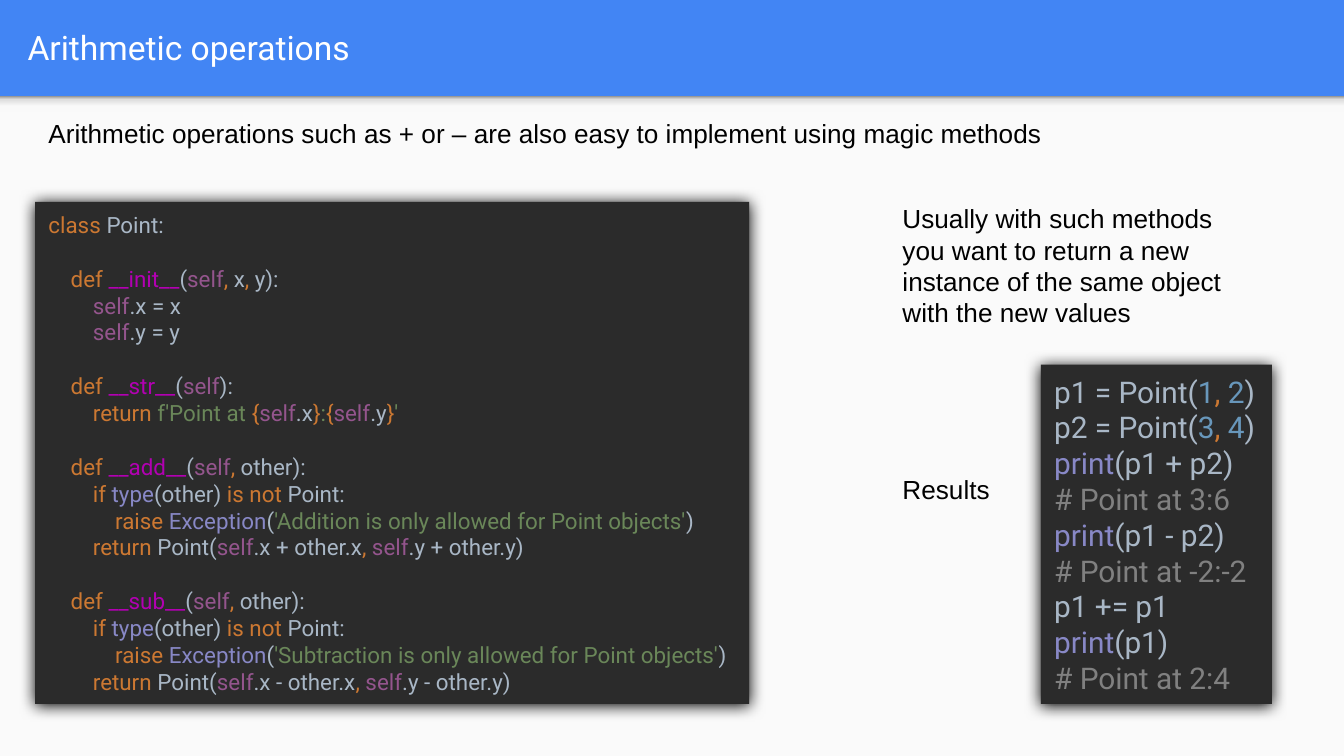
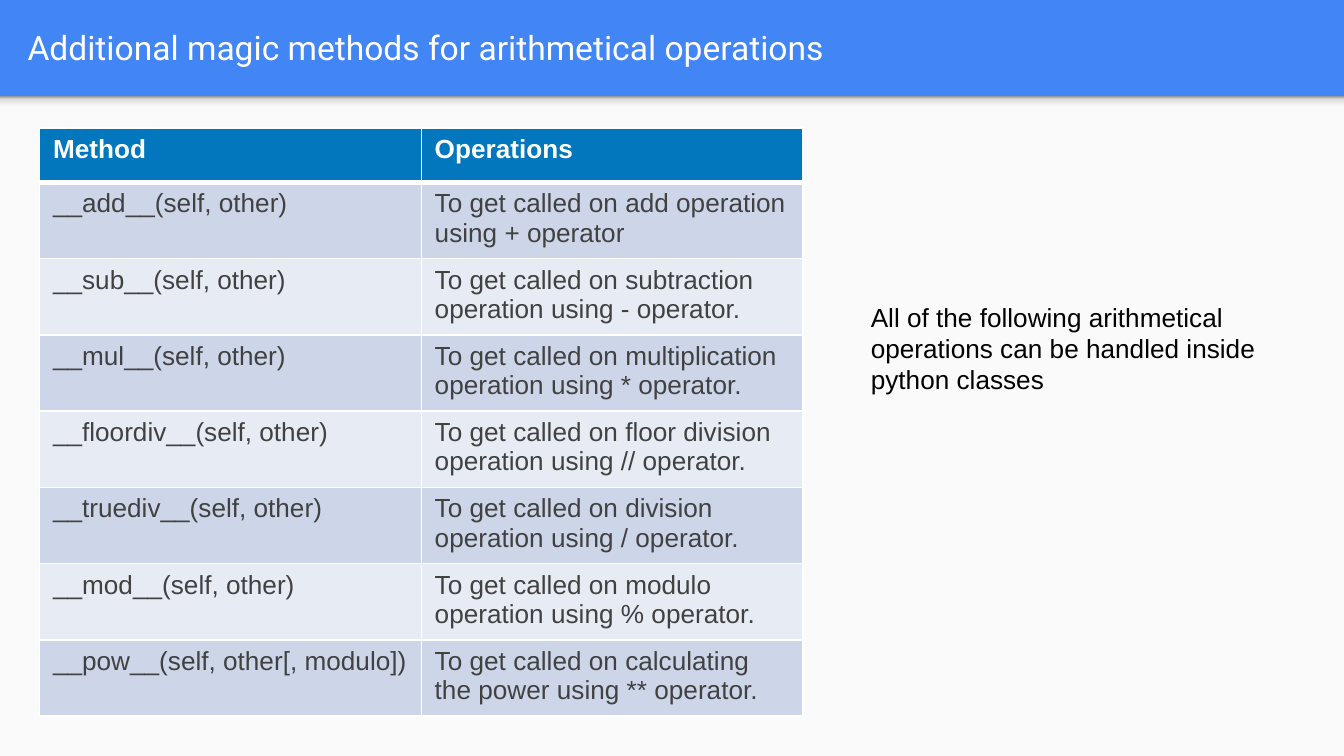
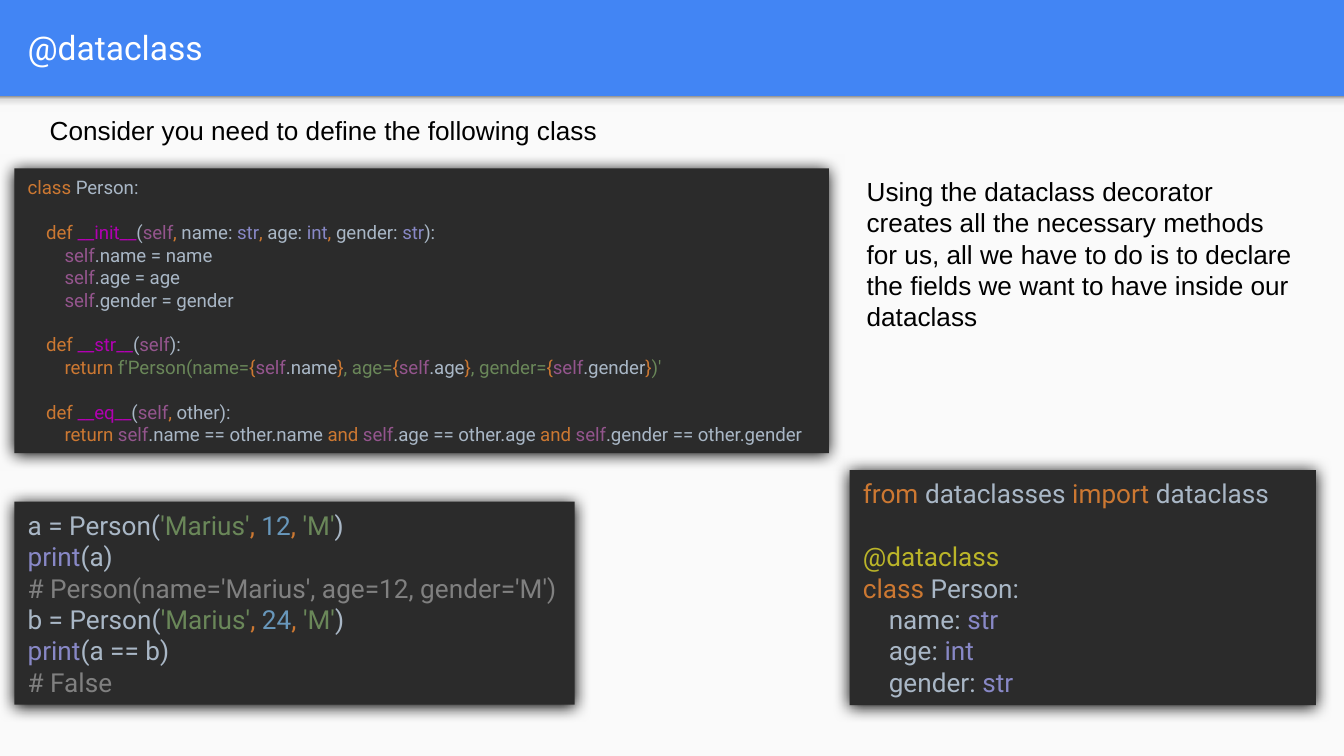
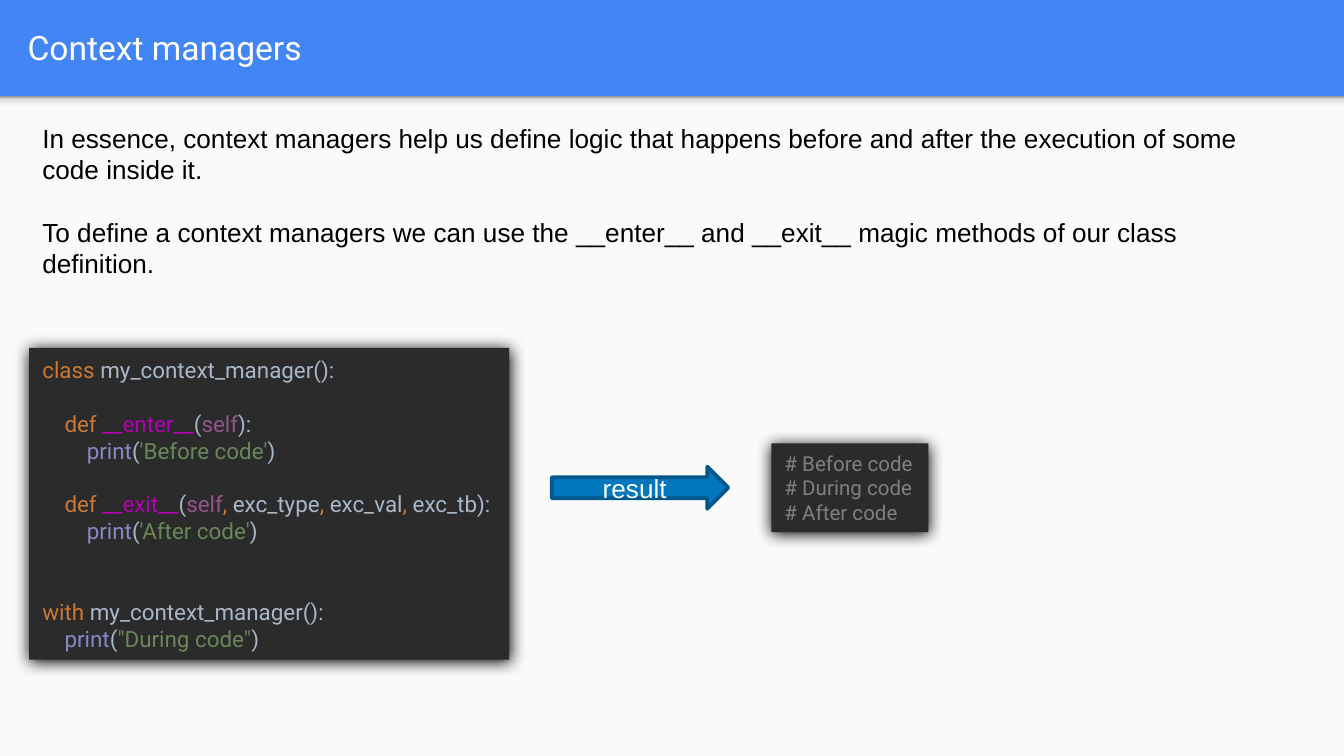
from collections.abc import Iterator
from dataclasses import dataclass
from typing import NamedTuple

from lxml.etree import SubElement
from pptx import Presentation
from pptx.dml.color import RGBColor
from pptx.enum.shapes import MSO_SHAPE
from pptx.enum.text import MSO_ANCHOR, MSO_AUTO_SIZE, PP_ALIGN
from pptx.oxml.ns import qn
from pptx.util import Pt


@dataclass(frozen=True)
class Theme:
    body_font: str = "Arial"
    code_font: str = "Roboto"
    title_size: float = 18
    body_size: float = 14
    band: str = "4285F4"
    paper: str = "FAFAFA"
    white: str = "FFFFFF"
    black: str = "000000"
    accent: str = "0277BD"
    accent_edge: str = "01588C"
    cell_text: str = "414141"
    cell_fills: tuple = ("CCD6E8", "E7ECF4")
    band_shadow: tuple = ((0, "F9F9F9"), (36, "F9F9F9"), (80, "DEDEDE"), (100, "999999"))
    editor: str = "2B2B2B"
    plain: str = "A9B7C6"
    keyword: str = "CC7832"
    builtin: str = "8888C6"
    dunder: str = "B200B2"
    self_name: str = "94558D"
    string: str = "6A8759"
    number: str = "6897BB"
    comment: str = "808080"
    decorator: str = "BBB529"


THEME = Theme()
KEYWORDS = {"class", "def", "return", "if", "is", "not", "raise", "and", "from", "import", "with"}
BUILTINS = {"type", "Exception", "print", "str", "int"}


class Place(NamedTuple):
    """Left, top, width and height in points."""
    left: float
    top: float
    width: float
    height: float

    def lengths(self) -> list:
        return [Pt(value) for value in self]


class Note(NamedTuple):
    place: Place
    paragraphs: list[str]


class CodePanel(NamedTuple):
    place: Place
    size: float
    code: str
    wrap: bool = False


class Token(NamedTuple):
    text: str
    color: str


PAGE = Place(0, 0, 720, 405)
BAND_HEIGHT = 51.6

POINT_CLASS = """class Point:

    def __init__(self, x, y):
        self.x = x
        self.y = y

    def __str__(self):
        return f'Point at {self.x}:{self.y}'

    def __add__(self, other):
        if type(other) is not Point:
            raise Exception('Addition is only allowed for Point objects')
        return Point(self.x + other.x, self.y + other.y)

    def __sub__(self, other):
        if type(other) is not Point:
            raise Exception('Subtraction is only allowed for Point objects')
        return Point(self.x - other.x, self.y - other.y)"""

POINT_RESULTS = """p1 = Point(1, 2)
p2 = Point(3, 4)
print(p1 + p2)
# Point at 3:6
print(p1 - p2)
# Point at -2:-2
p1 += p1
print(p1)
# Point at 2:4"""

PERSON_CLASS = """class Person:

    def __init__(self, name: str, age: int, gender: str):
        self.name = name
        self.age = age
        self.gender = gender

    def __str__(self):
        return f'Person(name={self.name}, age={self.age}, gender={self.gender})'

    def __eq__(self, other):
        return self.name == other.name and self.age == other.age and self.gender == other.gender"""

PERSON_USAGE = """a = Person('Marius', 12, 'M')
print(a)
# Person(name='Marius', age=12, gender='M')
b = Person('Marius', 24, 'M')
print(a == b)
# False"""

PERSON_DATACLASS = """from dataclasses import dataclass

@dataclass
class Person:
    name: str
    age: int
    gender: str"""

CONTEXT_MANAGER = """class my_context_manager():

    def __enter__(self):
        print('Before code')

    def __exit__(self, exc_type, exc_val, exc_tb):
        print('After code')


with my_context_manager():
    print("During code")"""

CONTEXT_OUTPUT = """# Before code
# During code
# After code"""

METHOD_ROWS = [
    ("Method", "Operations"),
    ("__add__(self, other)", "To get called on add operation using + operator"),
    ("__sub__(self, other)", "To get called on subtraction operation using - operator."),
    ("__mul__(self, other)", "To get called on multiplication operation using * operator."),
    ("__floordiv__(self, other)", "To get called on floor division operation using // operator."),
    ("__truediv__(self, other)", "To get called on division operation using / operator."),
    ("__mod__(self, other)", "To get called on modulo operation using % operator."),
    ("__pow__(self, other[, modulo])", "To get called on calculating the power using ** operator."),
]


def word_color(word: str) -> str:
    if word in KEYWORDS:
        return THEME.keyword
    if word in BUILTINS:
        return THEME.builtin
    if word == "self":
        return THEME.self_name
    if word.startswith("__") and word.endswith("__"):
        return THEME.dunder
    if word.startswith("@"):
        return THEME.decorator
    return THEME.number if word.isdigit() else THEME.plain


def string_tokens(literal: str) -> Iterator[Token]:
    """Colour a literal, treating the braces of an f-string as code."""
    if not literal.startswith("f"):
        yield Token(literal, THEME.string)
        return
    head, *fields = literal.split("{")
    yield Token(head, THEME.string)
    for field in fields:
        expression, rest = field.split("}")
        yield Token("{", THEME.keyword)
        yield from code_tokens(expression)
        yield Token("}", THEME.keyword)
        yield Token(rest, THEME.string)


def code_tokens(line: str) -> Iterator[Token]:
    start = 0
    while start < len(line):
        end = start + 1
        quote = start + 1 if line[start:start + 2] in ("f'", 'f"') else start
        if line[start] == "#":
            end = len(line)
            yield Token(line[start:], THEME.comment)
        elif line[quote] in "'\"":
            end = line.index(line[quote], quote + 1) + 1
            yield from string_tokens(line[start:end])
        elif line[start].isalnum() or line[start] in "_@":
            while end < len(line) and (line[end].isalnum() or line[end] == "_"):
                end += 1
            yield Token(line[start:end], word_color(line[start:end]))
        else:
            yield Token(line[start], THEME.keyword if line[start] == "," else THEME.plain)
        start = end


def merged_tokens(line: str) -> list[Token]:
    """Join neighbours of one colour; a space follows the token before it."""
    merged: list[Token] = []
    for token in code_tokens(line):
        if merged and (token.color == merged[-1].color or token.text.isspace()):
            merged[-1] = Token(merged[-1].text + token.text, merged[-1].color)
        else:
            merged.append(token)
    return merged


def add_span(para, text: str, *, size: float = THEME.body_size, font: str = THEME.body_font,
             color: str = THEME.black, bold: bool = False) -> None:
    span = para.add_run()
    span.text = text
    span.font.size = Pt(size)
    span.font.name = font
    span.font.bold = bold
    span.font.color.rgb = RGBColor.from_string(color)


def add_code_break(para, size: float) -> None:
    """Add a line break that keeps the height of the code font."""
    para.add_line_break()
    properties = SubElement(para._p[-1], qn("a:rPr"), sz=str(int(size * 100)))
    SubElement(properties, qn("a:latin"), typeface=THEME.code_font)


def add_block(page, place: Place, fill: str, kind: MSO_SHAPE = MSO_SHAPE.RECTANGLE):
    block = page.shapes.add_shape(kind, *place.lengths())
    block.shadow.inherit = False
    block.fill.solid()
    block.fill.fore_color.rgb = RGBColor.from_string(fill)
    block.line.fill.background()
    return block


def add_note(page, note: Note) -> None:
    box = page.shapes.add_textbox(*note.place.lengths())
    frame = box.text_frame
    frame.word_wrap = True
    frame.auto_size = MSO_AUTO_SIZE.SHAPE_TO_FIT_TEXT
    for index, text in enumerate(note.paragraphs):
        para = frame.add_paragraph() if index else frame.paragraphs[0]
        if index:
            para.space_before = Pt(16.8)
        add_span(para, text)


def add_panel(page, panel: CodePanel) -> None:
    block = add_block(page, panel.place, THEME.editor)
    effects = block._element.spPr.find(qn("a:effectLst"))
    shadow = SubElement(effects, qn("a:outerShdw"), blurRad=str(Pt(8.5)), dist=str(Pt(1)),
                        dir="5400000", algn="t", rotWithShape="0")
    SubElement(shadow, qn("a:srgbClr"), val=THEME.black)
    frame = block.text_frame
    frame.word_wrap = panel.wrap
    frame.auto_size = MSO_AUTO_SIZE.SHAPE_TO_FIT_TEXT
    frame.vertical_anchor = MSO_ANCHOR.MIDDLE
    para = frame.paragraphs[0]
    para.alignment = PP_ALIGN.LEFT
    for index, line in enumerate(panel.code.splitlines()):
        if index:
            add_code_break(para, panel.size)
        for token in merged_tokens(line):
            add_span(para, token.text, size=panel.size, font=THEME.code_font, color=token.color)


def add_band_shadow(page) -> None:
    strip = add_block(page, Place(0, BAND_HEIGHT, PAGE.width, 8.6), THEME.paper)
    strip.fill.gradient()
    strip.fill.gradient_angle = 90
    stops = strip._element.spPr.find(".//" + qn("a:gsLst"))
    for stop in list(stops):
        stops.remove(stop)
    for percent, color in THEME.band_shadow:
        stop = SubElement(stops, qn("a:gs"), pos=str(percent * 1000))
        SubElement(stop, qn("a:srgbClr"), val=color)


def add_page(deck, title: str, notes: list[Note], panels: list[CodePanel]):
    page = deck.slides.add_slide(deck.slide_layouts[6])
    add_block(page, Place(0, BAND_HEIGHT, PAGE.width, PAGE.height - BAND_HEIGHT), THEME.paper)
    add_band_shadow(page)
    frame = page.shapes.add_textbox(*Place(7.7, 1.6, 695, 47.6).lengths()).text_frame
    frame.word_wrap = True
    frame.vertical_anchor = MSO_ANCHOR.MIDDLE
    frame.margin_top = frame.margin_bottom = Pt(7.2)
    add_span(frame.paragraphs[0], title, size=THEME.title_size, font=THEME.code_font,
             color=THEME.white)
    for note in notes:
        add_note(page, note)
    for panel in panels:
        add_panel(page, panel)
    return page


def add_cell_border(cell, side: str, width: float) -> None:
    line = SubElement(cell._tc.get_or_add_tcPr(), qn(f"a:ln{side}"), w=str(Pt(width)))
    fill = SubElement(line, qn("a:solidFill"))
    SubElement(fill, qn("a:srgbClr"), val=THEME.white)


def add_method_table(page, place: Place, rows: list[tuple[str, str]], row_height: float) -> None:
    holder = page.shapes.add_table(len(rows), len(rows[0]), *place.lengths())
    table = holder.table
    for row_index, texts in enumerate(rows):
        table.rows[row_index].height = Pt(row_height)
        header = row_index == 0
        for column_index, text in enumerate(texts):
            cell = table.cell(row_index, column_index)
            for side in "LRTB":
                thick = (header and side == "B") or (row_index == 1 and side == "T")
                add_cell_border(cell, side, 3 if thick else 1)
            cell.fill.solid()
            fill = THEME.accent if header else THEME.cell_fills[(row_index - 1) % 2]
            cell.fill.fore_color.rgb = RGBColor.from_string(fill)
            add_span(cell.text_frame.paragraphs[0], text, bold=header,
                     color=THEME.white if header else THEME.cell_text)
    holder.height = Pt(place.height)


def add_result_arrow(page, place: Place, label: str) -> None:
    arrow = add_block(page, place, THEME.accent, MSO_SHAPE.RIGHT_ARROW)
    arrow.line.color.rgb = RGBColor.from_string(THEME.accent_edge)
    arrow.line.width = Pt(2)
    frame = arrow.text_frame
    frame.word_wrap = True
    frame.vertical_anchor = MSO_ANCHOR.MIDDLE
    para = frame.paragraphs[0]
    para.alignment = PP_ALIGN.CENTER
    add_span(para, label, color=THEME.white)


def main() -> None:
    deck = Presentation()
    deck.slide_width, deck.slide_height = Pt(PAGE.width), Pt(PAGE.height)
    background = deck.slide_master.background.fill
    background.solid()
    background.fore_color.rgb = RGBColor.from_string(THEME.band)

    add_page(
        deck, "Arithmetic operations",
        [Note(Place(18.9, 59.4, 662, 24.2),
              ["Arithmetic operations such as + or – are also easy to implement using magic methods"]),
         Note(Place(476.4, 250, 189, 24.2), ["Results"]),
         Note(Place(476.4, 105, 198, 75), [
             "Usually with such methods you want to return a new instance of the same object "
             "with the new values"])],
        [CodePanel(Place(18.9, 108.2, 382.5, 269), 12, POINT_CLASS),
         CodePanel(Place(557.6, 195.4, 123.8, 181.8), 16, POINT_RESULTS)])

    methods_page = add_page(
        deck, "Additional magic methods for arithmetical operations",
        [Note(Place(459.4, 157.7, 243.4, 58.2), [
            "All of the following arithmetical operations can be handled inside python classes"])],
        [])
    add_method_table(methods_page, Place(21.2, 68.5, 409, 314.6), METHOD_ROWS, 29.2)

    add_page(
        deck, "@dataclass",
        [Note(Place(19.6, 57.5, 659.5, 24.2), ["Consider you need to define the following class"]),
         Note(Place(457.2, 90.4, 245.5, 92), [
             "Using the dataclass decorator creates all the necessary methods for us, all we have "
             "to do is to declare the fields we want to have inside our dataclass"])],
        [CodePanel(Place(7.7, 90.2, 436.4, 152.6), 10, PERSON_CLASS),
         CodePanel(Place(7.7, 268.8, 300.2, 108.8), 14, PERSON_USAGE),
         CodePanel(Place(455.2, 251.8, 249.8, 126), 14, PERSON_DATACLASS, wrap=True)])

    context_page = add_page(
        deck, "Context managers",
        [Note(Place(15.6, 62, 669.6, 92), [
            "In essence, context managers help us define logic that happens before and after the "
            "execution of some code inside it.",
            "To define a context managers we can use the __enter__ and __exit__ magic methods of "
            "our class definition."])],
        [CodePanel(Place(15.6, 186.4, 257.2, 167), 12, CONTEXT_MANAGER),
         CodePanel(Place(413.2, 237.6, 84.2, 47.5), 11, CONTEXT_OUTPUT)])
    add_result_arrow(context_page, Place(295.6, 250, 94.6, 22.6), "result")

    deck.save("out.pptx")


if __name__ == "__main__":
    main()
